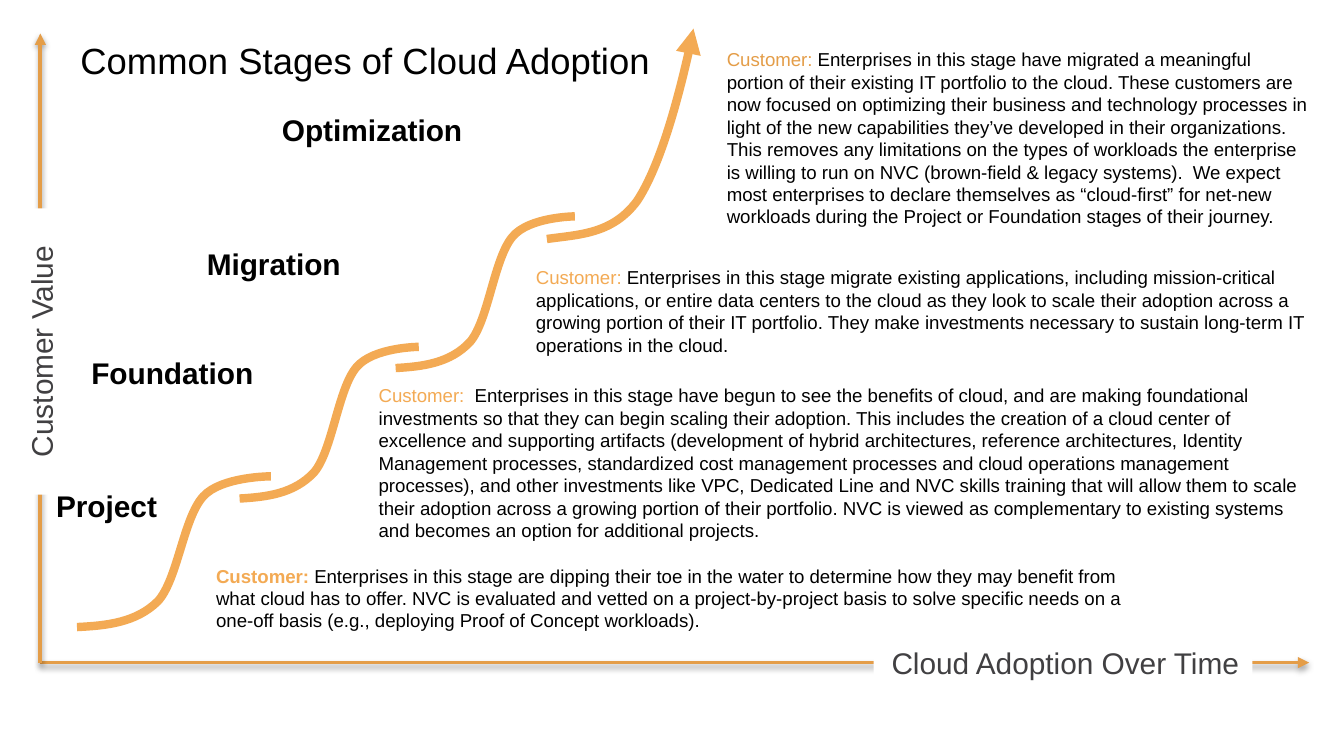
from lxml.etree import SubElement
from pptx import Presentation
from pptx.dml.color import RGBColor
from pptx.enum.shapes import MSO_CONNECTOR, MSO_SHAPE
from pptx.enum.text import MSO_ANCHOR, MSO_AUTO_SIZE, PP_ALIGN
from pptx.oxml.ns import qn
from pptx.util import Pt

THEME = dict(
    font="Arial", curve="F3AA54", axis="E49D48", ink="000000", label="414042", paper="FFFFFF",
    title_size=19.5, label_size=16, body_size=10, curve_width=4.5, axis_width=2, tilt=3.6,
)

TITLE = ("Common Stages of Cloud Adoption", (36, 16.6, 648, 42.5))

# name, name box, description, description box, lead colour, lead is bold
STAGES = [
    ("Project", (23, 257.8, 69, 26.6),
     "Enterprises in this stage are dipping their toe in the water to determine how they may "
     "benefit from what cloud has to offer. NVC is evaluated and vetted on a project-by-project "
     "basis to solve specific needs on a one-off basis (e.g., deploying Proof of Concept workloads).",
     (108.7, 298.8, 515.5, 43.9), "curve", True),
    ("Foundation", (41.8, 186.5, 107.3, 26.6),
     " Enterprises in this stage have begun to see the benefits of cloud, and are making "
     "foundational investments so that they can begin scaling their adoption. This includes the "
     "creation of a cloud center of excellence and supporting artifacts (development of hybrid "
     "architectures, reference architectures, Identity Management processes, standardized cost "
     "management processes and cloud operations management processes), and other investments like "
     "VPC, Dedicated Line and NVC skills training that will allow them to scale their adoption "
     "across a growing portion of their portfolio. NVC is viewed as complementary to existing "
     "systems and becomes an option for additional projects.",
     (195.8, 202.3, 515.5, 92.2), "curve", False),
    ("Migration", (103.7, 128.2, 87.1, 26.6),
     "Enterprises in this stage migrate existing applications, including mission-critical "
     "applications, or entire data centers to the cloud as they look to scale their adoption "
     "across a growing portion of their IT portfolio. They make investments necessary to sustain "
     "long-term IT operations in the cloud.",
     (280, 139, 438.5, 55.4), "curve", False),
    ("Optimization", (144, 56.2, 112.3, 26.6),
     "Enterprises in this stage have migrated a meaningful portion of their existing IT portfolio "
     "to the cloud. These customers are now focused on optimizing their business and technology "
     "processes in light of the new capabilities they’ve developed in their organizations. This "
     "removes any limitations on the types of workloads the enterprise is willing to run on NVC "
     "(brown-field & legacy systems).  We expect most enterprises to declare themselves as "
     "“cloud-first” for net-new workloads during the Project or Foundation stages of their journey.",
     (382.3, 22.3, 326.2, 104.4), "axis", False),
]

# Bezier points as fractions of the curve's box: a start, then three points per segment
STEP = [(0, 1), (.16, .98), (.32, .95), (.43, .81), (.53, .67), (.54, .29), (.64, .15),
        (.73, .02), (1, 0), (1, 0)]
RISE = [(0, 1), (.24, .97), (.49, .96), (.66, .8), (.82, .63), (.97, .17), (1, 0)]
CURVES = [
    (STEP, (43.9, 252, 98.6, 87.1), False),
    (STEP, (131, 182.9, 90.7, 87.1), False),
    (STEP, (214.6, 113, 90.7, 87.1), False),
    (RISE, (296.6, 13, 71.3, 117.4), True),
]

ORIGIN = (21.6, 355)
AXIS_ENDS = [(701.3, 355), (21.6, 18)]
# text, box, rotation, alignment, wrap
AXIS_LABELS = [
    ("Customer Value", (-54.7, 175, 153.4, 26.6), 270, PP_ALIGN.CENTER, True),
    ("Cloud Adoption Over Time", (468, 342.7, 203, 24.5), 0, PP_ALIGN.RIGHT, False),
]


def rgb(name):
    return RGBColor.from_string(THEME[name])


def style_line(sp, color, width, arrow):
    sp.line.color.rgb = rgb(color)
    sp.line.width = Pt(width)
    if arrow:
        ln = sp._element.spPr.find(qn("a:ln"))
        SubElement(ln, qn("a:tailEnd"), type="triangle")


def write(sp, *runs, size, align=PP_ALIGN.LEFT, wrap=True, grow=True, anchor=MSO_ANCHOR.TOP):
    """Fill a shape with one paragraph of (text, colour, bold) runs."""
    tf = sp.text_frame
    tf.word_wrap = wrap
    tf.vertical_anchor = anchor
    tf.auto_size = MSO_AUTO_SIZE.SHAPE_TO_FIT_TEXT if grow else MSO_AUTO_SIZE.NONE
    p = tf.paragraphs[0]
    p.alignment = align
    for text, color, bold in runs:
        r = p.add_run()
        r.text = text
        r.font.name = THEME["font"]
        r.font.size = Pt(size)
        r.font.bold = bold
        r.font.color.rgb = rgb(color)


def add_text(s, box, *runs, **fmt):
    write(s.shapes.add_textbox(*map(Pt, box)), *runs, **fmt)


def add_curve(s, points, box, arrow):
    """Draw a tilted Bezier curve by folding the outline's line segments in threes."""
    x, y, w, h = box
    pts = [(Pt(x + fx * w), Pt(y + fy * h)) for fx, fy in points]
    builder = s.shapes.build_freeform(*pts[0])
    builder.add_line_segments(pts[1:], close=False)
    sp = builder.convert_to_shape()
    outline = next(sp._element.iter(qn("a:path")))
    lines = outline.findall(qn("a:lnTo"))
    for i in range(0, len(lines), 3):
        bezier = SubElement(outline, qn("a:cubicBezTo"))
        for line in lines[i:i + 3]:
            bezier.append(line[0])
            outline.remove(line)
    sp.rotation = THEME["tilt"]
    sp.shadow.inherit = False
    sp.fill.background()
    style_line(sp, "curve", THEME["curve_width"], arrow)


def add_axis(s, end):
    ln = s.shapes.add_connector(MSO_CONNECTOR.STRAIGHT, *map(Pt, ORIGIN + end))
    style_line(ln, "axis", THEME["axis_width"], True)
    effects = SubElement(ln._element.spPr, qn("a:effectLst"))
    shadow = SubElement(effects, qn("a:outerShdw"), blurRad=str(Pt(3.1)), dist=str(Pt(1.6)),
                        dir="5400000", algn="ctr", rotWithShape="0")
    color = SubElement(shadow, qn("a:srgbClr"), val=THEME["ink"])
    SubElement(color, qn("a:alpha"), val="38000")


def add_axis_label(s, text, box, rotation, align, wrap):
    sp = s.shapes.add_shape(MSO_SHAPE.RECTANGLE, *map(Pt, box))
    sp.rotation = rotation
    sp.shadow.inherit = False
    sp.fill.solid()
    sp.fill.fore_color.rgb = rgb("paper")
    sp.line.fill.background()
    write(sp, (text, "label", False), size=THEME["label_size"], align=align, wrap=wrap,
          grow=wrap, anchor=MSO_ANCHOR.MIDDLE)


def main():
    prs = Presentation()
    prs.slide_width, prs.slide_height = Pt(720), Pt(405)
    s = prs.slides.add_slide(prs.slide_layouts[6])
    for curve in CURVES:
        add_curve(s, *curve)
    for end in AXIS_ENDS:
        add_axis(s, end)
    for label in AXIS_LABELS:
        add_axis_label(s, *label)
    for name, name_box, text, text_box, lead, bold in STAGES:
        add_text(s, name_box, (name, "ink", True), size=THEME["label_size"], wrap=False)
        add_text(s, text_box, ("Customer: ", lead, bold), (text, "ink", False),
                 size=THEME["body_size"])
    title, box = TITLE
    add_text(s, box, (title, "ink", False), size=THEME["title_size"], grow=False)
    prs.save("out.pptx")


if __name__ == "__main__":
    main()
